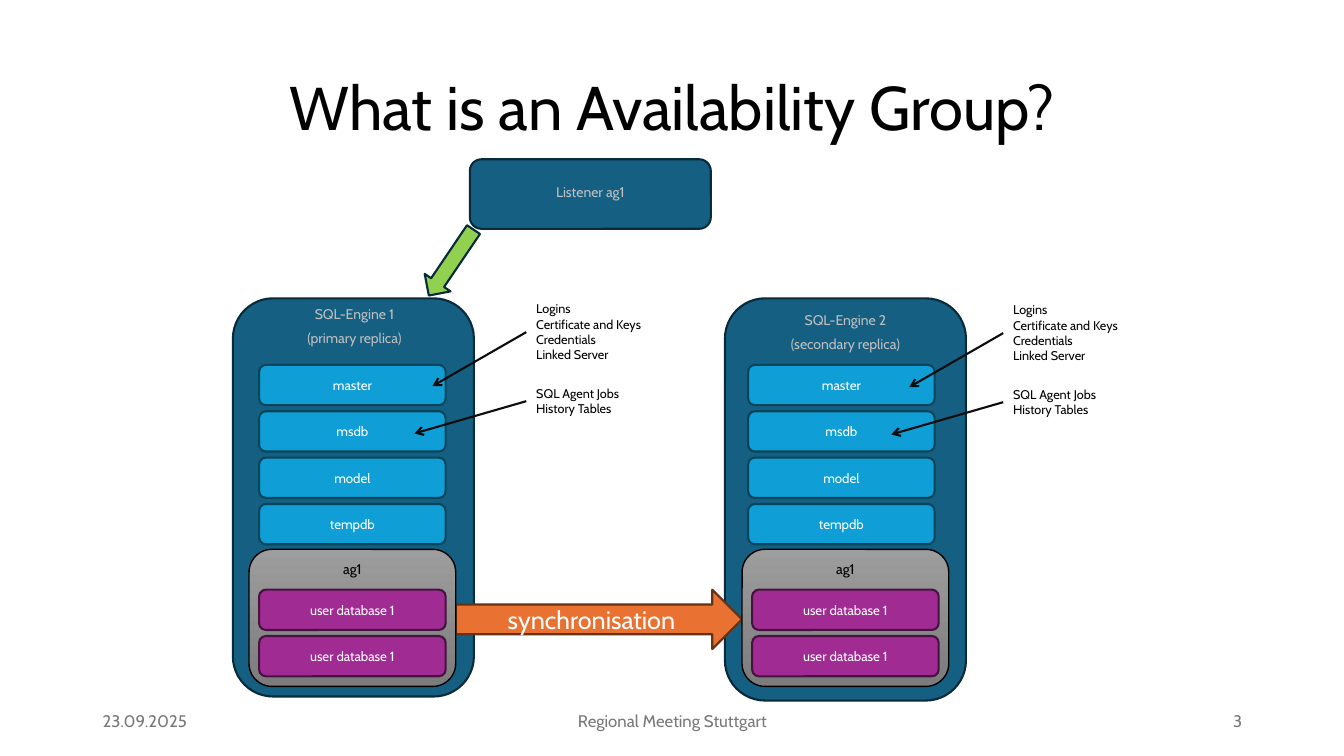
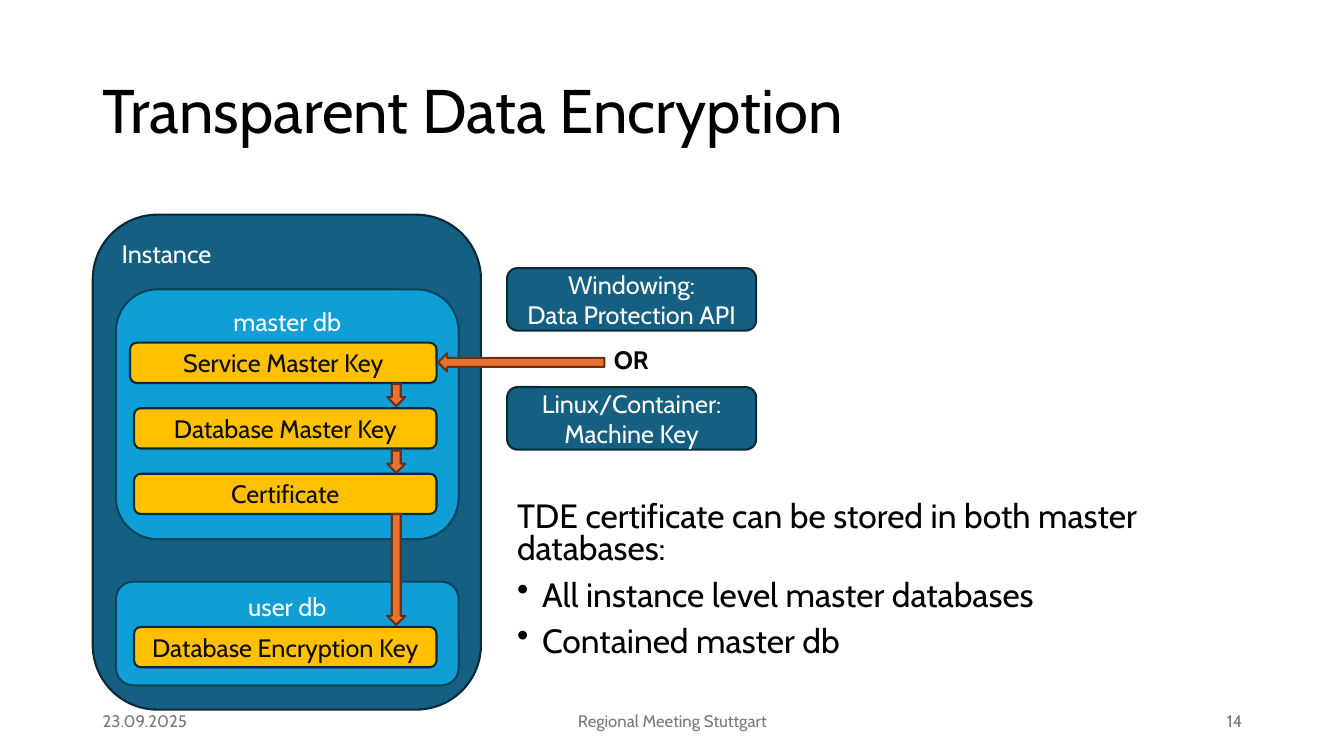
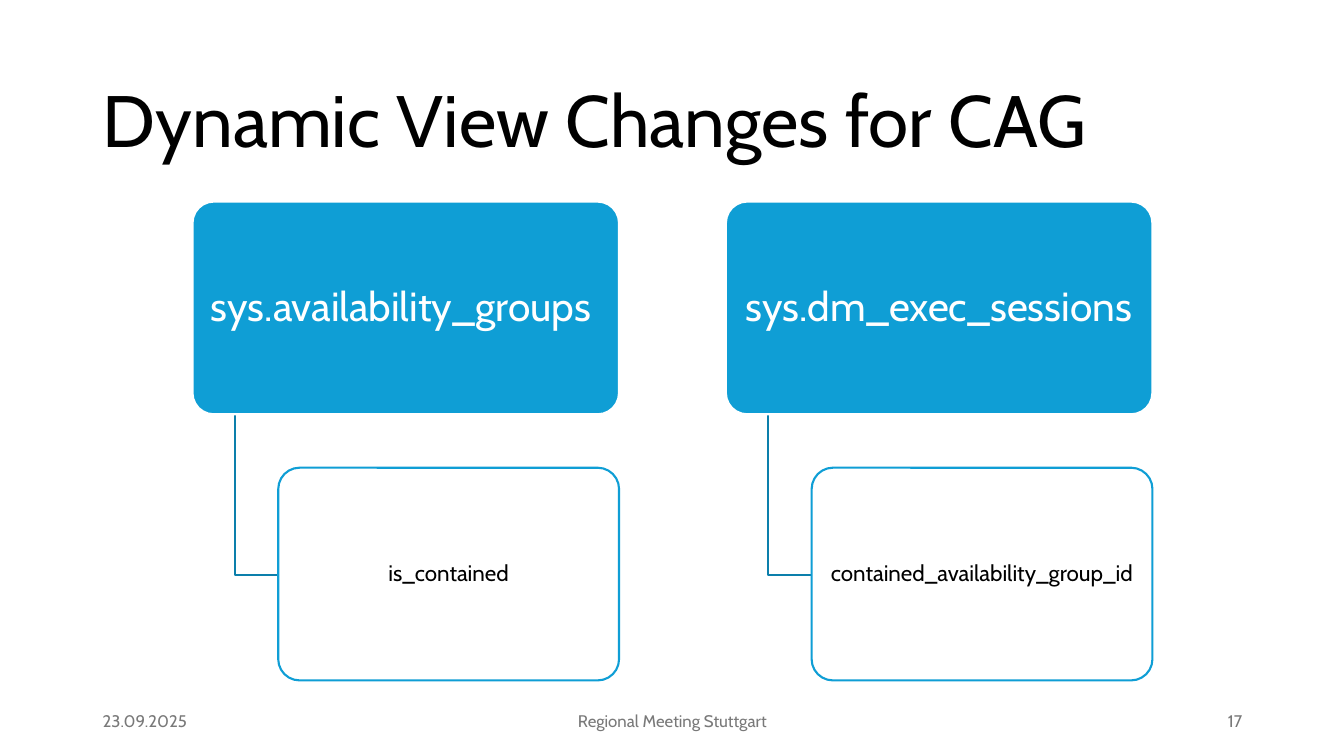
"""Build three slides on availability groups, encryption and dynamic views."""
from lxml.etree import SubElement
from pptx import Presentation
from pptx.dml.color import RGBColor
from pptx.enum.shapes import MSO_CONNECTOR as LINK, MSO_SHAPE as SHAPE
from pptx.enum.text import MSO_ANCHOR as ANCHOR, MSO_AUTO_SIZE as FIT, PP_ALIGN as ALIGN
from pptx.oxml.ns import qn
from pptx.util import Pt

PX = 9144
FONT = "Cabin"
COLORS = {
    "black": "000000", "ink": "0D0D0D", "white": "FFFFFF", "silver": "BFBFBF", "footer": "797979",
    "navy": "156082", "navy edge": "092A39", "blue": "0F9ED5", "blue edge": "07455D",
    "purple": "A02B93", "purple edge": "461340", "orange": "E97132", "orange edge": "663216",
    "green": "92D050", "gold": "FFC000", "elbow": "0C7FAB", "gray top": "9D9D9D", "gray end": "7C7C7C",
}
STYLES = {
    "navy": ("navy", "navy edge"), "blue": ("blue", "blue edge"), "purple": ("purple", "purple edge"),
    "orange": ("orange", "orange edge"), "green": ("green", "navy edge"), "gold": ("gold", "navy edge"),
    "card": ("blue", "white"), "column": ("white", "blue"),
}

FOOTER_TOP, FOOTER_HEIGHT = 695, 40
FOOTER = [(92, 300, "23.09.2025", ALIGN.LEFT), (442, 450, "Regional Meeting Stuttgart", ALIGN.CENTER)]
PAGE_NUMBER = (942, 300, ALIGN.RIGHT)

SYSTEM_DATABASES = ["master", "msdb", "model", "tempdb"]
USER_DATABASES = ["user database 1", "user database 1"]
TILE_WIDTH, TILE_HEIGHT, TILE_STEP = 185, 40, 46
SYSTEM_TOP, USER_TOP = 362, 585
SERVERS = [
    {"left": 231, "height": 395, "tiles": 257, "label": (257, 298, 189, 51), "group": 247, "notes": (522, 294),
     "name": ["SQL-Engine 1", "(primary replica)"]},
    {"left": 719, "height": 399, "tiles": 742, "label": (746, 304, 185, 51), "group": 736, "notes": (995, 295),
     "name": ["SQL-Engine 2", "(secondary replica)"]},
]
NOTES = [
    (0, 71, ["Logins", "Certificate and Keys", "Credentials", "Linked Server"], (-93, 89)),
    (84, 40, ["SQL Agent Jobs", "History Tables"], (-111, 136)),
]

KEY_STORES = [(266, ["Windowing:", "Data Protection API"]), (384, ["Linux/Container:", "Machine Key"])]
CONTAINERS = [
    ("navy", (92, 213, 385, 491), "Instance", ALIGN.LEFT),
    ("blue", (115, 287, 340, 248), "master db", ALIGN.CENTER),
    ("blue", (115, 577, 340, 103), "user db", ALIGN.CENTER),
]
KEYS = [
    (129, 340, 304, "Service Master Key"), (133, 405, 300, "Database Master Key"),
    (133, 470, 300, "Certificate"), (133, 622, 300, "Database Encryption Key"),
]
KEY_ARROWS = [(384, 381, 22, 0), (384, 447, 22, 0), (384, 510, 110, 0), (508, 277, 165, 90)]
STORAGE = ["TDE certificate can be stored in both master databases:",
           "All instance level master databases", "Contained master db"]

VIEWS = [(191, "sys.availability_groups ", "is_contained"),
         (720, "sys.dm_exec_sessions", "contained_availability_group_id")]


def color(name):
    return RGBColor.from_string(COLORS[name])


def emu(*lengths):
    return [round(length * PX) for length in lengths]


def write(box, lines, size, ink, align=ALIGN.CENTER, anchor=ANCHOR.MIDDLE,
          after=0, before=0, spacing=None, bold=False, bullets=False):
    frame = box.text_frame
    frame.word_wrap = True
    frame.auto_size = FIT.NONE
    frame.vertical_anchor = anchor
    for index, line in enumerate(lines):
        para = frame.paragraphs[0] if index == 0 else frame.add_paragraph()
        para.add_run().text = line
        para.alignment = align
        if after:
            para.space_after = Pt(after)
        if spacing:
            para.line_spacing = spacing
        if index and before:
            para.space_before = Pt(before)
        if index and bullets:
            properties = para._p.get_or_add_pPr()
            properties.set("marL", str(25 * PX))
            properties.set("indent", str(-25 * PX))
            SubElement(properties, qn("a:buChar")).set("char", "•")
        para.font.name = FONT
        para.font.size = Pt(size)
        para.font.bold = bold
        para.font.color.rgb = color(ink)


def add_text(page, place, lines, size, ink, **options):
    box = page.shapes.add_textbox(*emu(*place))
    write(box, lines, size, ink, **options)
    return box


def add_block(page, place, style, kind=SHAPE.ROUNDED_RECTANGLE, turn=0):
    fill, edge = STYLES[style]
    block = page.shapes.add_shape(kind, *emu(*place))
    block.shadow.inherit = False
    block.fill.solid()
    block.fill.fore_color.rgb = color(fill)
    block.line.color.rgb = color(edge)
    block.line.width = Pt(1.5)
    block.rotation = turn
    return block


def add_page(deck, title, place, size, number, align=ALIGN.LEFT):
    page = deck.slides.add_slide(deck.slide_layouts[5])
    heading = page.shapes.title
    heading.left, heading.top, heading.width, heading.height = emu(*place)
    write(heading, [title], size, "black", align=align, spacing=0.9)
    left, width, side = PAGE_NUMBER
    for left, width, text, side in FOOTER + [(left, width, str(number), side)]:
        add_text(page, (left, FOOTER_TOP, width, FOOTER_HEIGHT), [text], 12, "footer", align=side)
    return page


def add_tiles(page, left, top, names, style):
    for index, name in enumerate(names):
        tile = add_block(page, (left, top + index * TILE_STEP, TILE_WIDTH, TILE_HEIGHT), style)
        write(tile, [name], 9.5, "white", after=5)


def add_group(page, left):
    group = add_block(page, (left, 545, 205, 136), "navy")
    group.fill.gradient()
    group.fill.gradient_angle = 270
    for stop, name in zip(group.fill.gradient_stops, ("gray top", "gray end")):
        stop.color.rgb = color(name)
    group.line.color.rgb = color("black")
    group.line.width = Pt(1)
    write(group, ["ag1"], 10, "black", anchor=ANCHOR.TOP)
    add_tiles(page, left + 10, USER_TOP, USER_DATABASES, "purple")


def add_notes(page, left, top):
    for offset, height, lines, (reach, drop) in NOTES:
        note = add_text(page, (left, top + offset, 154, height), lines, 9, "black",
                        align=ALIGN.LEFT, anchor=ANCHOR.TOP)
        arrow = page.shapes.add_connector(
            LINK.STRAIGHT, *emu(left, top + offset + height / 2, left + reach, top + drop))
        arrow.begin_connect(note, 1)
        arrow.line.color.rgb = color("ink")
        arrow.line.width = Pt(1.5)
        SubElement(arrow.line._get_or_add_ln(), qn("a:tailEnd")).set("type", "arrow")
        SubElement(arrow._element.spPr, qn("a:effectLst"))


def build_availability(deck):
    page = add_page(deck, "What is an Availability Group?", (166, 48, 1002, 124), 44, 3, ALIGN.CENTER)
    for server in SERVERS:
        add_block(page, (server["left"], 296, 239, server["height"]), "navy")
        add_tiles(page, server["tiles"], SYSTEM_TOP, SYSTEM_DATABASES, "blue")
        add_text(page, server["label"], server["name"], 10, "silver", anchor=ANCHOR.TOP, after=5)
    add_block(page, (466, 158, 239, 69), "navy")
    add_text(page, (477, 177, 217, 27), ["Listener ag1"], 10, "silver", anchor=ANCHOR.TOP, after=5)
    sync = add_block(page, (452, 585, 284, 59), "orange", SHAPE.RIGHT_ARROW)
    write(sync, ["synchronisation"], 18, "white")
    add_block(page, (432, 221, 31, 79), "green", SHAPE.DOWN_ARROW, 34.1)
    for server in SERVERS:
        add_group(page, server["group"])
        add_notes(page, *server["notes"])


def build_encryption(deck):
    page = add_page(deck, "Transparent Data Encryption", (92, 40, 1150, 145), 44, 14)
    add_text(page, (503, 494, 774, 181), STORAGE, 24, "black", align=ALIGN.LEFT,
             anchor=ANCHOR.TOP, before=10, spacing=0.8, bullets=True)
    for style, place, name, align in CONTAINERS:
        write(add_block(page, place, style), [name], 18, "white", align=align, anchor=ANCHOR.TOP)
    for top, lines in KEY_STORES:
        write(add_block(page, (503, top, 247, 62), "navy"), lines, 18, "white")
    add_text(page, (599, 337, 60, 40), ["OR"], 18, "black", align=ALIGN.LEFT, anchor=ANCHOR.TOP, bold=True)
    for left, top, width, name in KEYS:
        write(add_block(page, (left, top, width, 40), "gold"), [name], 18, "ink")
    for left, top, length, turn in KEY_ARROWS:
        add_block(page, (left, top, 18, length), "orange", SHAPE.DOWN_ARROW, turn)


def build_views(deck):
    page = add_page(deck, "Dynamic View Changes for CAG", (92, 61, 1150, 124), 52, 17)
    for left, view, column in VIEWS:
        stem, branch = left + 42, left + 85
        outline = page.shapes.build_freeform(stem, 411, scale=PX)
        outline.add_line_segments([(stem, 570), (branch, 570)], close=False)
        elbow = outline.convert_to_shape()
        elbow.shadow.inherit = False
        elbow.fill.background()
        elbow.line.color.rgb = color("elbow")
        elbow.line.width = Pt(1.5)
        for place, style, text, size, ink, inset in [
            ((left, 200, 423, 211), "card", view, 29, "white", 6),
            ((branch, 464, 338, 211), "column", column, 16, "black", 3),
        ]:
            card = add_block(page, place, style)
            card.adjustments[0] = 0.1
            card.text_frame.margin_left = card.text_frame.margin_right = inset * PX
            write(card, [text], size, ink, spacing=0.9)


def main():
    deck = Presentation()
    deck.slide_width, deck.slide_height = emu(1333, 750)
    build_availability(deck)
    build_encryption(deck)
    build_views(deck)
    deck.save("out.pptx")


if __name__ == "__main__":
    main()
